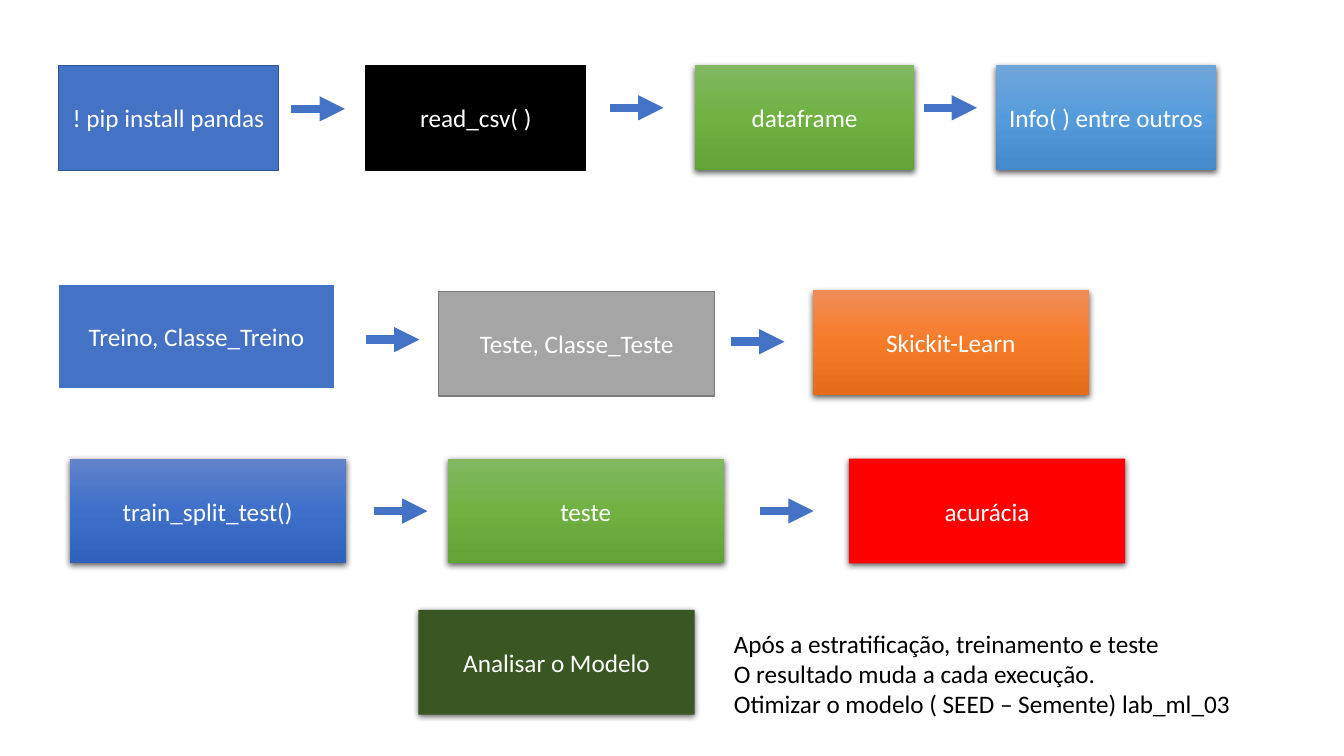
"""Builds a one-slide flow diagram of a machine learning lab."""
from lxml import etree
from pptx import Presentation
from pptx.dml.color import RGBColor
from pptx.enum.shapes import MSO_CONNECTOR, MSO_SHAPE
from pptx.enum.text import MSO_ANCHOR, MSO_AUTO_SIZE, PP_ALIGN
from pptx.oxml.ns import qn
from pptx.util import Inches, Pt

RECT = MSO_SHAPE.RECTANGLE
STRAIGHT = MSO_CONNECTOR.STRAIGHT
MIDDLE = MSO_ANCHOR.MIDDLE
CENTER = PP_ALIGN.CENTER
GROW = MSO_AUTO_SIZE.SHAPE_TO_FIT_TEXT

WHITE = RGBColor(0xFF, 0xFF, 0xFF)
BLACK = RGBColor(0x00, 0x00, 0x00)
BLUE = RGBColor(0x44, 0x72, 0xC4)
DARK_BLUE = RGBColor(0x32, 0x54, 0x91)
GRAY = RGBColor(0xA5, 0xA5, 0xA5)
DARK_GRAY = RGBColor(0x7A, 0x7A, 0x7A)
RED = RGBColor(0xFF, 0x00, 0x00)
DARK_GREEN = RGBColor(0x38, 0x57, 0x23)
GREEN_FADE = (RGBColor(0x81, 0xB8, 0x61), RGBColor(0x6F, 0xB2, 0x42), RGBColor(0x62, 0xA3, 0x36))
SKY_FADE = (RGBColor(0x71, 0xA6, 0xDB), RGBColor(0x55, 0x9B, 0xDB), RGBColor(0x44, 0x8A, 0xCA))
ORANGE_FADE = (RGBColor(0xF1, 0x8C, 0x57), RGBColor(0xF6, 0x7B, 0x28), RGBColor(0xE5, 0x6C, 0x19))
BLUE_FADE = (RGBColor(0x61, 0x83, 0xCB), RGBColor(0x3E, 0x70, 0xCA), RGBColor(0x30, 0x62, 0xBB))

NARROW, WIDE, BOX_HEIGHT, ARROW_LENGTH = 2.18, 2.74, 1.04, 0.53

BOXES = [
    ("! pip install pandas", 0.58, 0.65, NARROW, BLUE, (DARK_BLUE, 1)),
    ("read_csv( )", 3.63, 0.65, NARROW, BLACK, (BLACK, 1)),
    ("dataframe", 6.89, 0.65, NARROW, GREEN_FADE, None),
    ("Info( ) entre outros", 9.88, 0.65, NARROW, SKY_FADE, None),
    ("Treino, Classe_Treino", 0.58, 2.82, WIDE, BLUE, (WHITE, 1.5)),
    ("Teste, Classe_Teste", 4.35, 2.89, WIDE, GRAY, (DARK_GRAY, 1)),
    ("Skickit-Learn", 8.06, 2.88, WIDE, ORANGE_FADE, None),
    ("train_split_test()", 0.69, 4.55, WIDE, BLUE_FADE, None),
    ("teste", 4.44, 4.55, WIDE, GREEN_FADE, None),
    ("acurácia", 8.42, 4.55, WIDE, RED, None),
    ("Analisar o Modelo", 4.15, 6.05, WIDE, DARK_GREEN, None),
]
ARROWS = [
    (2.89, 1.08), (6.05, 1.07), (9.16, 1.07),
    (3.63, 3.37), (7.25, 3.39),
    (3.71, 5.07), (7.54, 5.07),
]
NOTES = [
    "Após a estratificação, treinamento e teste",
    "O resultado muda a cada execução.",
    "Otimizar o modelo ( SEED – Semente) lab_ml_03",
]


class Diagram:
    """Holds the text style and the slide being drawn."""

    def __init__(self, s, font="Calibri", size=18):
        self.s = s
        self.font = font
        self.size = Pt(size)

    def style(self, tf, color):
        """Formats every run of a text frame."""
        for p in tf.paragraphs:
            for r in p.runs:
                r.font.name = self.font
                r.font.size = self.size
                r.font.color.rgb = color

    def fade(self, fill, colors):
        """Fills from top to bottom with evenly spaced colours."""
        fill.gradient()
        fill.gradient_angle = 270
        stops = fill._xPr.find(qn("a:gradFill")).find(qn("a:gsLst"))
        for stop in list(stops):
            stops.remove(stop)
        for i, color in enumerate(colors):
            pos = 100000 * i // (len(colors) - 1)
            stop = etree.SubElement(stops, qn("a:gs"), pos=str(pos))
            etree.SubElement(stop, qn("a:srgbClr"), val=str(color))

    def shadow(self, sp):
        """Adds a soft shadow below a shape."""
        effects = sp._element.spPr.find(qn("a:effectLst"))
        outer = etree.SubElement(
            effects, qn("a:outerShdw"), blurRad=str(Pt(4.5)), dist=str(Pt(1.5)),
            dir="5400000", algn="ctr", rotWithShape="0")
        color = etree.SubElement(outer, qn("a:srgbClr"), val=str(BLACK))
        etree.SubElement(color, qn("a:alpha"), val="63000")

    def box(self, text, x, y, width, fill, line):
        """Draws a labelled step; one without an outline casts a shadow."""
        sp = self.s.shapes.add_shape(RECT, Inches(x), Inches(y), Inches(width), Inches(BOX_HEIGHT))
        sp.shadow.inherit = False
        if isinstance(fill, RGBColor):
            sp.fill.solid()
            sp.fill.fore_color.rgb = fill
        else:
            self.fade(sp.fill, fill)
        if line:
            sp.line.color.rgb, sp.line.width = line[0], Pt(line[1])
        else:
            sp.line.fill.background()
            self.shadow(sp)
        tf = sp.text_frame
        tf.word_wrap = True
        tf.vertical_anchor = MIDDLE
        tf.text = text
        tf.paragraphs[0].alignment = CENTER
        self.style(tf, WHITE)

    def arrow(self, x, y):
        """Draws a thick arrow to the right."""
        cx = self.s.shapes.add_connector(
            STRAIGHT, Inches(x), Inches(y), Inches(x + ARROW_LENGTH), Inches(y))
        cx.line.color.rgb = BLUE
        cx.line.width = Pt(6)
        etree.SubElement(cx.line._get_or_add_ln(), qn("a:tailEnd"), type="triangle")
        etree.SubElement(cx._element.spPr, qn("a:effectLst"))

    def note(self, lines, x, y, width, height):
        """Writes plain paragraphs in a text box."""
        tb = self.s.shapes.add_textbox(Inches(x), Inches(y), Inches(width), Inches(height))
        tf = tb.text_frame
        tf.word_wrap = False
        tf.auto_size = GROW
        tf.text = "\n".join(lines)
        self.style(tf, BLACK)


def main():
    """Draws the slide and saves it."""
    prs = Presentation()
    prs.slide_width, prs.slide_height = Inches(13.33), Inches(7.5)
    diagram = Diagram(prs.slides.add_slide(prs.slide_layouts[6]))
    for box in BOXES:
        diagram.box(*box)
    for arrow in ARROWS:
        diagram.arrow(*arrow)
    diagram.note(NOTES, 7.18, 6.18, 5.18, 1.01)
    prs.save("out.pptx")


if __name__ == "__main__":
    main()
